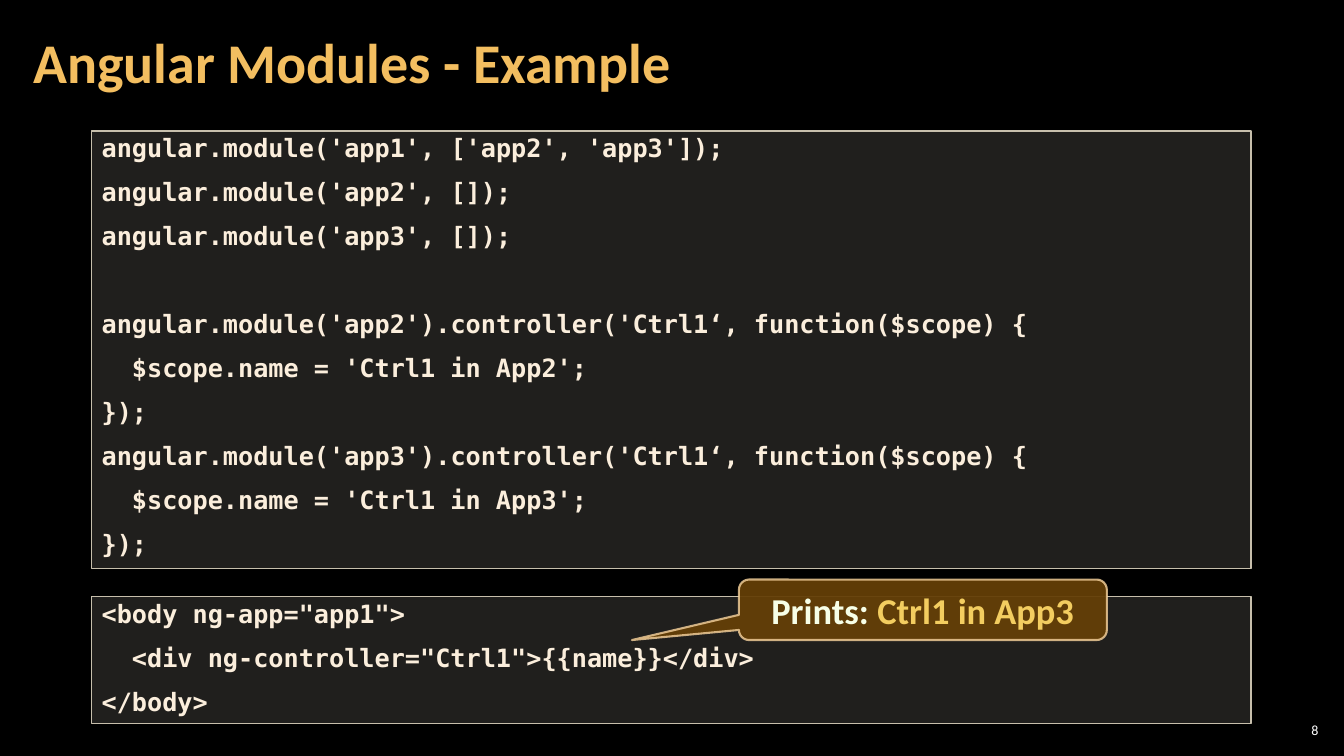
import dataclasses
import typing

import pptx
import pptx.dml.color
import pptx.enum.shapes
import pptx.enum.text
import pptx.oxml
import pptx.oxml.ns
import pptx.util

Pt = pptx.util.Pt
Align = pptx.enum.text.PP_ALIGN
Anchor = pptx.enum.text.MSO_ANCHOR
Preset = pptx.enum.shapes.MSO_SHAPE

CODE_FONT = {"name": "DejaVu Sans Mono", "size": Pt(18), "bold": True}
CODE_INDENT = 21.67  # two monospaced characters
CODE_SPACING = 12
CODE_LINE_PITCH = 31.4


class Box(typing.NamedTuple):
    left: float
    top: float
    width: float
    height: float


class Paint(typing.NamedTuple):
    color: str
    opacity: int = 100


@dataclasses.dataclass
class CodeLine:
    text: str
    indent: int = 0
    skipped_lines: int = 0


@dataclasses.dataclass
class CodeBlock:
    box: Box
    lines: list[CodeLine]


def controller(app: int, skipped_lines: int = 0) -> list[CodeLine]:
    return [
        CodeLine(f"angular.module('app{app}').controller('Ctrl1‘, function($scope) {{",
                 skipped_lines=skipped_lines),
        CodeLine(f"$scope.name = 'Ctrl1 in App{app}';", indent=1),
        CodeLine("});"),
    ]


CODE_BLOCKS = [
    CodeBlock(Box(65.5, 93.6, 828, 312.5), [
        CodeLine("angular.module('app1', ['app2', 'app3']);"),
        CodeLine("angular.module('app2', []);"),
        CodeLine("angular.module('app3', []);"),
        *controller(2, skipped_lines=1),
        *controller(3),
    ]),
    CodeBlock(Box(65.5, 426.2, 828, 90.7), [
        CodeLine('<body ng-app="app1">'),
        CodeLine('<div ng-controller="Ctrl1">{{name}}</div>', indent=1),
        CodeLine("</body>"),
    ]),
]


def apply_format(target, values: dict) -> None:
    for attribute, value in values.items():
        setattr(target, attribute, value)


def set_solid(fill, paint: Paint) -> None:
    """Fill with one colour, with an alpha value when it is not opaque."""
    fill.solid()
    fill.fore_color.rgb = pptx.dml.color.RGBColor.from_string(paint.color)
    if paint.opacity < 100:
        color = fill._xPr.find(".//" + pptx.oxml.ns.qn("a:srgbClr"))
        alpha = pptx.oxml.parse_xml(
            f'<a:alpha {pptx.oxml.ns.nsdecls("a")} val="{paint.opacity * 1000}"/>')
        color.append(alpha)


def add_run(paragraph, text: str, font: dict, color: str) -> None:
    run = paragraph.add_run()
    run.text = text
    apply_format(run.font, font)
    set_solid(run.font.fill, Paint(color))


def set_frame(frame, anchor, side: float = 7.2, vertical: float = 3.6) -> None:
    apply_format(frame, {
        "word_wrap": True,
        "auto_size": pptx.enum.text.MSO_AUTO_SIZE.NONE,
        "vertical_anchor": anchor,
        "margin_left": Pt(side), "margin_right": Pt(side),
        "margin_top": Pt(vertical), "margin_bottom": Pt(vertical),
    })


def add_panel(slide, preset, box: Box, fill: Paint, border: Paint, weight: float):
    panel = slide.shapes.add_shape(preset, *map(Pt, box))
    panel.shadow.inherit = False
    set_solid(panel.fill, fill)
    set_solid(panel.line.fill, border)
    panel.line.width = Pt(weight)
    return panel


def add_title(slide) -> None:
    title = slide.shapes.title
    apply_format(title, {"left": Pt(15.1), "top": Pt(2.9),
                         "width": Pt(753.8), "height": Pt(87.1)})
    set_frame(title.text_frame, Anchor.MIDDLE, side=8.64, vertical=2.88)
    heading = title.text_frame.paragraphs[0]
    apply_format(heading, {"alignment": Align.LEFT, "line_spacing": 0.9})
    add_run(heading, "Angular Modules - Example",
            {"name": "Calibri", "size": Pt(40), "bold": True}, "F3BE60")


def add_code(slide, block: CodeBlock) -> None:
    panel = add_panel(slide, Preset.RECTANGLE, block.box,
                      Paint("D9D5C7", 15), Paint("C7BFAC"), 1)
    frame = panel.text_frame
    set_frame(frame, Anchor.TOP)
    for number, line in enumerate(block.lines):
        paragraph = frame.add_paragraph() if number else frame.paragraphs[0]
        apply_format(paragraph, {
            "alignment": Align.LEFT,
            "line_spacing": 0.9,
            "space_before": Pt(CODE_SPACING + line.skipped_lines * CODE_LINE_PITCH),
        })
        if line.indent:
            margin = Pt(line.indent * CODE_INDENT)
            paragraph._p.get_or_add_pPr().set("marL", str(margin))
        add_run(paragraph, line.text, CODE_FONT, "FBEEDC")


def add_output_callout(slide) -> None:
    callout = add_panel(slide, Preset.ROUNDED_RECTANGULAR_CALLOUT,
                        Box(527.8, 414, 262.8, 43.2),
                        Paint("643F07", 95), Paint("F8D49E", 80), 1.5)
    for index, value in enumerate((-0.791, 0.5, 0.167)):
        callout.adjustments[index] = value
    set_frame(callout.text_frame, Anchor.MIDDLE)
    output = callout.text_frame.paragraphs[0]
    output.alignment = Align.CENTER
    font = {"name": "Calibri", "size": Pt(26), "bold": True}
    add_run(output, "Prints: ", font, "F7FFE7")
    add_run(output, "Ctrl1 in App3", font, "F3CD60")


def add_page_number(slide) -> None:
    page = slide.shapes.add_textbox(*map(Pt, Box(910.8, 514.1, 33.8, 15.1)))
    set_frame(page.text_frame, Anchor.MIDDLE, side=2.88, vertical=2.88)
    number = page.text_frame.paragraphs[0]
    number.alignment = Align.RIGHT
    add_run(number, "8", {"name": "Calibri", "size": Pt(10)}, "FFFFFF")


def main() -> None:
    deck = pptx.Presentation()
    apply_format(deck, {"slide_width": Pt(960), "slide_height": Pt(540)})
    slide = deck.slides.add_slide(deck.slide_layouts.get_by_name("Title Only"))
    set_solid(slide.background.fill, Paint("000000"))
    add_page_number(slide)
    add_title(slide)
    for block in CODE_BLOCKS:
        add_code(slide, block)
    add_output_callout(slide)
    deck.save("out.pptx")


if __name__ == "__main__":
    main()
